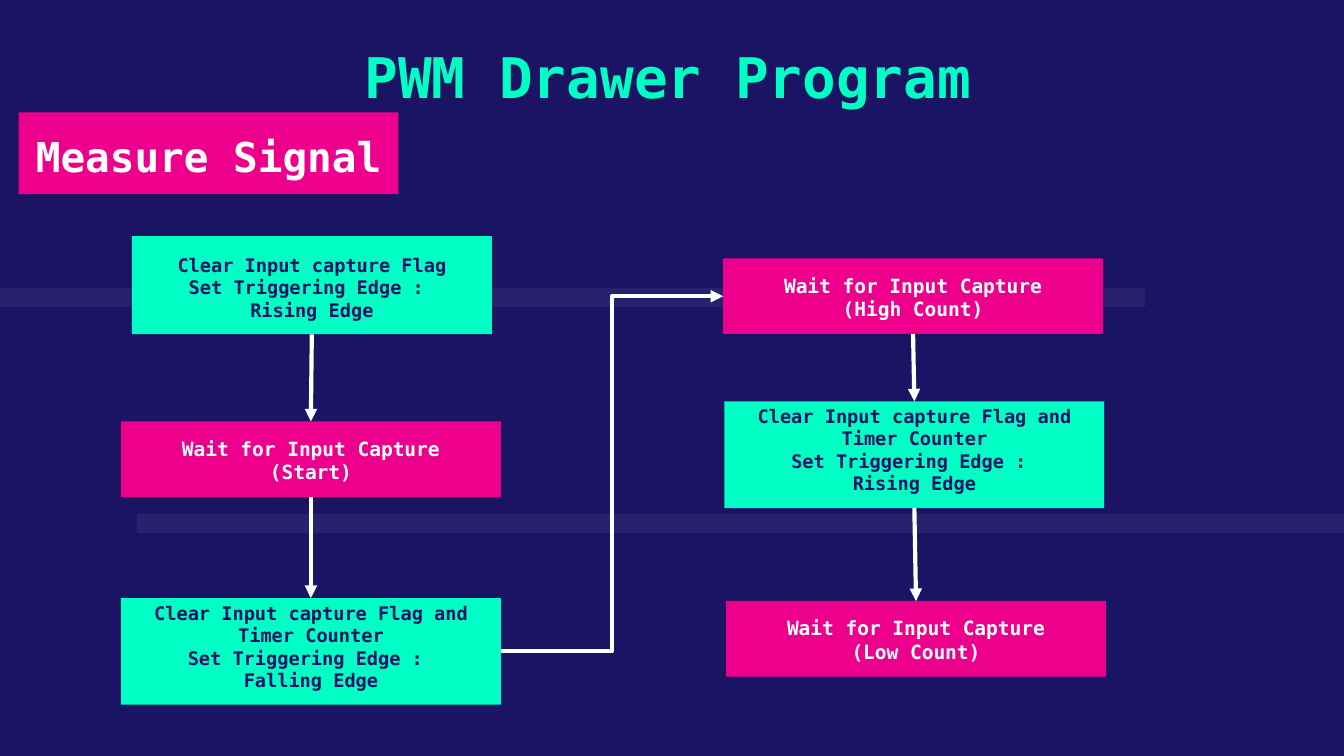
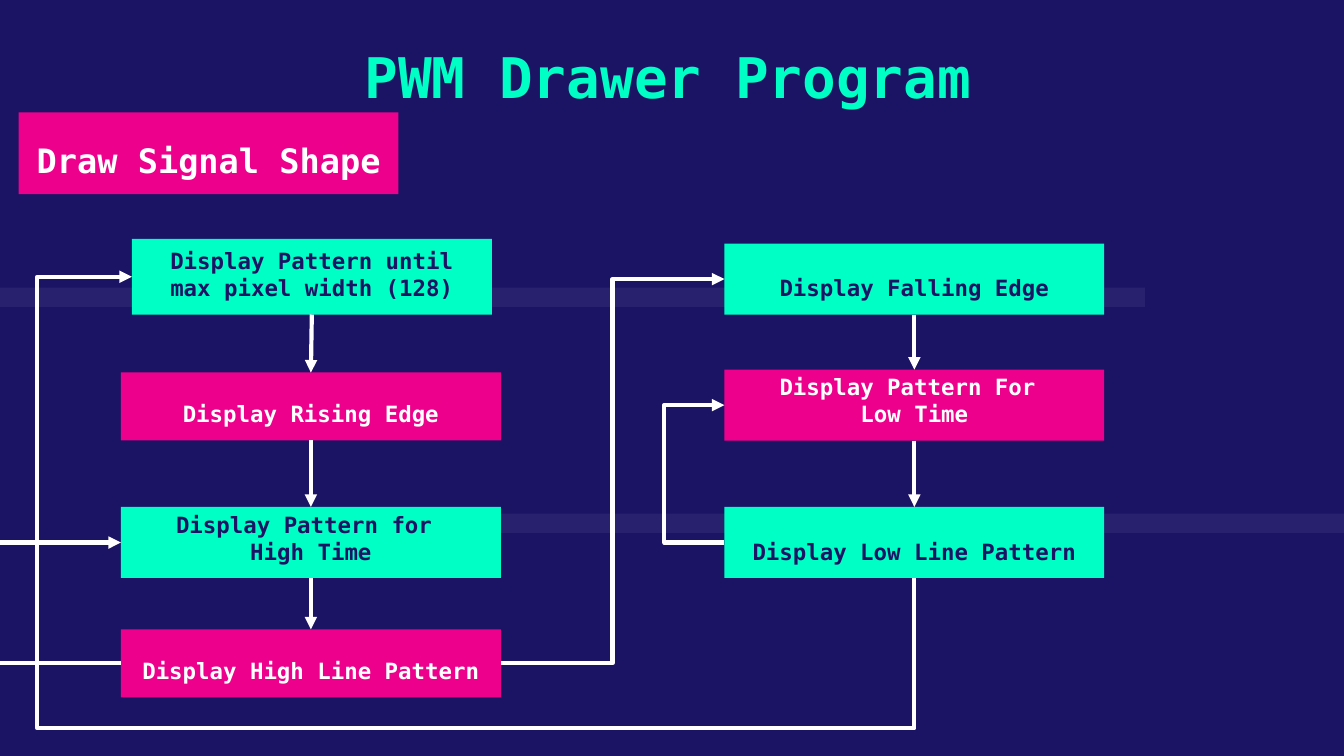
import pptx
import pptx.util
import pptx.dml.color
import pptx.enum.shapes
import pptx.enum.text
import pptx.oxml.ns
from lxml import etree

Pt = pptx.util.Pt
KIND = pptx.enum.shapes.MSO_CONNECTOR
RECT = pptx.enum.shapes.MSO_SHAPE.RECTANGLE
ANCHOR = pptx.enum.text.MSO_ANCHOR
qn = pptx.oxml.ns.qn

FONT = "DejaVu Sans Mono"
HEX = {"navy": "1B1464", "mint": "00FFC5", "pink": "EC008C", "white": "FFFFFF"}
INK = {"mint": "navy", "pink": "white"}
WIDE, HIGH = 720, 405
TITLE = "PWM Drawer Program"
TITLE_AT = (98.6, 14.4, 518.4, 52.6)
LABEL_AT = (10, 60.2, 203.5, 43.8)
BANDS = [(0, 154.1, 613.4, 10.3), (73.4, 275.2, 646.6, 10.3)]
BOX_W, HEAD_W = 203.5, 192.9
LEFT, HEAD, RIGHT = 64.8, 70.6, 388.1
TOP, WEST, BOTTOM, EAST = range(4)  # connection sites of a rectangle

# box: name, fill, left, top, width, height, text size, lines
# link: from box, side, to box, side
# route: from box, side, corner lines (x or y in turn), to box, side
# stub: box at the left slide edge, arrow points at the box
SLIDES = [
    {
        "label": ("Measure Signal", 22),
        "boxes": [
            ("clear", "mint", HEAD, 126.5, HEAD_W, 52.6, 10,
             ["Clear Input capture Flag", "Set Triggering Edge : ", "Rising Edge"]),
            ("start", "pink", LEFT, 225.8, BOX_W, 40.6, 10.5,
             ["Wait for Input Capture", "(Start)"]),
            ("fall", "mint", LEFT, 320.4, BOX_W, 57.2, 10,
             ["Clear Input capture Flag and Timer Counter",
              "Set Triggering Edge : ", "Falling Edge"]),
            ("high", "pink", 387.4, 138.4, BOX_W, 40.6, 10.5,
             ["Wait for Input Capture", "(High Count)"]),
            ("rise", "mint", RIGHT, 215, BOX_W, 57.2, 10,
             ["Clear Input capture Flag and Timer Counter",
              "Set Triggering Edge : ", "Rising Edge"]),
            ("low", "pink", 389, 322, BOX_W, 40.6, 10.5,
             ["Wait for Input Capture", "(Low Count)"]),
        ],
        "chains": [("clear", "start", "fall"), ("high", "rise", "low")],
        "bend": ("fall", "high"),
        "routes": [],
        "stubs": [],
    },
    {
        "label": ("Draw Signal Shape", 18),
        "boxes": [
            ("until", "mint", HEAD, 128, HEAD_W, 40.5, 12,
             ["Display Pattern until max pixel width (128)"]),
            ("rise", "pink", LEFT, 199.6, BOX_W, 36.4, 12, ["Display Rising Edge"]),
            ("high", "mint", LEFT, 271.6, BOX_W, 38.1, 12,
             ["Display Pattern for ", "High Time"]),
            ("line", "pink", LEFT, 337.2, BOX_W, 36.4, 12,
             ["Display High Line Pattern"]),
            ("fall", "mint", RIGHT, 130.5, BOX_W, 38.1, 12, ["Display Falling Edge"]),
            ("low", "pink", RIGHT, 198, BOX_W, 38.1, 12,
             ["Display Pattern For ", "Low Time"]),
            ("flat", "mint", RIGHT, 271.6, BOX_W, 38.1, 12,
             ["Display Low Line Pattern"]),
        ],
        "chains": [("until", "rise", "high", "line"), ("fall", "low", "flat")],
        "bend": ("line", "fall"),
        "routes": [("flat", WEST, [355.9], "low"),
                   ("flat", BOTTOM, [390.2, 20], "until")],
        "stubs": [("line", False), ("high", True)],
    },
]


def rgb(name):
    """Turn a colour name into an RGB value."""
    return pptx.dml.color.RGBColor.from_string(HEX[name])


def place(shape, at):
    """Move and size a shape, in points."""
    shape.left, shape.top, shape.width, shape.height = map(Pt, at)


def write(shape, lines, size=12, color="white", anchor=ANCHOR.BOTTOM):
    """Fill a shape with centred bold lines."""
    frame = shape.text_frame
    frame.word_wrap = True
    frame.auto_size = pptx.enum.text.MSO_AUTO_SIZE.NONE
    frame.vertical_anchor = anchor
    frame.margin_left = frame.margin_right = Pt(7.2)
    frame.margin_top = frame.margin_bottom = Pt(7.2)
    for i, line in enumerate(lines):
        para = frame.add_paragraph() if i else frame.paragraphs[0]
        para.alignment = pptx.enum.text.PP_ALIGN.CENTER
        run = para.add_run()
        run.text = line
        run.font.name, run.font.size, run.font.bold = FONT, Pt(size), True
        run.font.color.rgb = rgb(color)


def block(slide, at, fill):
    """Add a plain filled rectangle."""
    shape = slide.shapes.add_shape(RECT, *map(Pt, at))
    shape.shadow.inherit = False
    shape.fill.solid()
    shape.fill.fore_color.rgb = rgb(fill)
    shape.line.fill.background()
    return shape


def stroke(shape, arrow=True):
    """Style a line, with an arrowhead at its end if asked."""
    shape.line.color.rgb = rgb("white")
    shape.line.width = Pt(2.25)
    props = shape.element.spPr
    if arrow:
        etree.SubElement(props.find(qn("a:ln")), qn("a:tailEnd"), type="triangle")
    if props.find(qn("a:effectLst")) is None:
        etree.SubElement(props, qn("a:effectLst"))


def wire(slide, kind, first, side, last, end):
    """Join two boxes with a glued arrow."""
    line = slide.shapes.add_connector(kind, 0, 0, 0, 0)
    line.begin_connect(first, side)
    line.end_connect(last, end)
    stroke(line)


def site(box, side):
    """Give the middle of one side of a box."""
    x = {WEST: 0, EAST: box.width}.get(side, box.width // 2)
    y = {TOP: 0, BOTTOM: box.height}.get(side, box.height // 2)
    return box.left + x, box.top + y


def route(slide, first, side, turns, last):
    """Draw an arrow with square corners into the left side of a box."""
    x, y = start = site(first, side)
    goal = site(last, WEST)
    points = []
    flat = side in (WEST, EAST)
    for turn in turns:
        x, y = (Pt(turn), y) if flat else (x, Pt(turn))
        points.append((x, y))
        flat = not flat
    points += [(x, goal[1]), goal]
    pen = slide.shapes.build_freeform(*start)
    pen.add_line_segments(points, close=False)
    shape = pen.convert_to_shape()
    shape.shadow.inherit = False
    shape.fill.background()
    stroke(shape)


def stub(slide, box, inward):
    """Run a line between the slide edge and the left of a box."""
    x, y = site(box, WEST)
    ends = (0, y, x, y) if inward else (x, y, 0, y)
    stroke(slide.shapes.add_connector(KIND.STRAIGHT, *ends), inward)


def bands(slide, master):
    """Put the background and faint bands on the master."""
    master.background.fill.solid()
    master.background.fill.fore_color.rgb = rgb("navy")
    tree = master.shapes.element
    for i, at in enumerate(BANDS):
        band = block(slide, at, "white")
        node = band.element
        tone = node.spPr.find(".//" + qn("a:srgbClr"))
        etree.SubElement(tone, qn("a:alpha"), val="6000")
        node.find(".//" + qn("p:cNvPr")).set("id", str(100 + i))
        tree.insert(2 + i, node)


def build(slide, data):
    """Lay out one flow chart slide."""
    title = slide.shapes.title
    place(title, TITLE_AT)
    write(title, [TITLE], size=30, color="mint", anchor=ANCHOR.MIDDLE)
    text, size = data["label"]
    write(block(slide, LABEL_AT, "pink"), [text], size=size)
    boxes = {}
    for name, fill, x, y, w, h, size, lines in data["boxes"]:
        boxes[name] = block(slide, (x, y, w, h), fill)
        write(boxes[name], lines, size=size, color=INK[fill])
    for chain in data["chains"]:
        for a, b in zip(chain, chain[1:]):
            wire(slide, KIND.STRAIGHT, boxes[a], BOTTOM, boxes[b], TOP)
    a, b = data["bend"]
    wire(slide, KIND.ELBOW, boxes[a], EAST, boxes[b], WEST)
    for a, side, turns, b in data["routes"]:
        route(slide, boxes[a], side, turns, boxes[b])
    for name, inward in data["stubs"]:
        stub(slide, boxes[name], inward)


deck = pptx.Presentation()
deck.slide_width, deck.slide_height = Pt(WIDE), Pt(HIGH)
for i, data in enumerate(SLIDES):
    slide = deck.slides.add_slide(deck.slide_layouts[5])
    if i == 0:
        bands(slide, deck.slide_master)
    build(slide, data)
deck.save("out.pptx")
